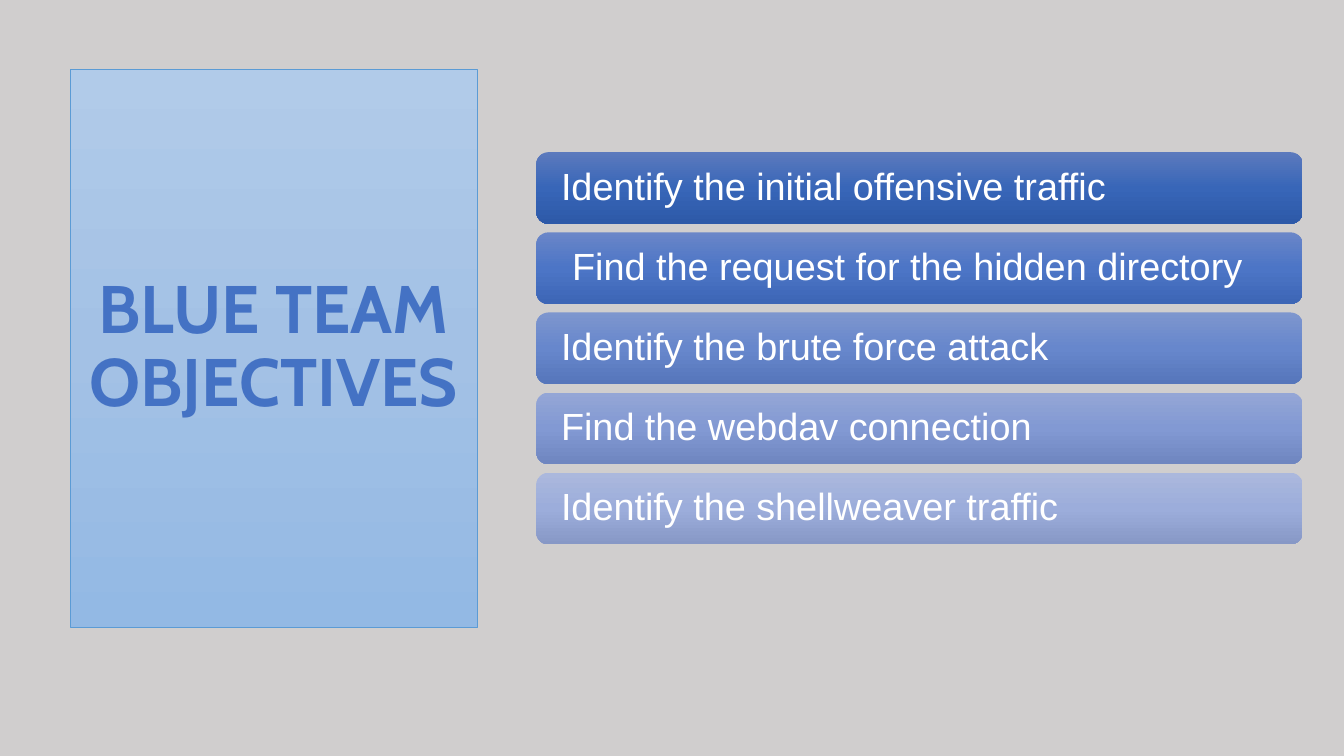
from copy import deepcopy

from pptx import Presentation
from pptx.dml.color import RGBColor
from pptx.enum import shapes, text
from pptx.oxml.ns import qn
from pptx.util import Inches, Pt

BACKGROUND = RGBColor(0xD0, 0xCE, 0xCE)
TITLE_BLUE = RGBColor(0x44, 0x72, 0xC4)
PANEL_LINE = RGBColor(0x5B, 0x9B, 0xD5)
WHITE = RGBColor(0xFF, 0xFF, 0xFF)
PANEL_GRADIENT = [RGBColor(0xB1, 0xCB, 0xE9), RGBColor(0xA3, 0xC1, 0xE5), RGBColor(0x93, 0xB9, 0xE4)]
BAR_GRADIENTS = [
    [RGBColor(0x5C, 0x7A, 0xBD), RGBColor(0x38, 0x66, 0xB8), RGBColor(0x2D, 0x59, 0xA8)],
    [RGBColor(0x6A, 0x86, 0xC8), RGBColor(0x4C, 0x75, 0xC6), RGBColor(0x3D, 0x66, 0xB6)],
    [RGBColor(0x7E, 0x96, 0xCE), RGBColor(0x67, 0x87, 0xCC), RGBColor(0x56, 0x76, 0xBB)],
    [RGBColor(0x94, 0xA6, 0xD6), RGBColor(0x82, 0x99, 0xD3), RGBColor(0x6F, 0x86, 0xC0)],
    [RGBColor(0xAB, 0xB8, 0xDD), RGBColor(0x9C, 0xAD, 0xDB), RGBColor(0x87, 0x98, 0xC6)],
]

# Wording and left inset in inches
OBJECTIVES = [
    ("Identify the initial offensive traffic", 0.21),
    ("Find the request for the hidden directory", 0.32),
    ("Identify the brute force attack", 0.21),
    ("Find the webdav connection", 0.21),
    ("Identify the shellweaver traffic", 0.21),
]
BAR_HEIGHT = 0.71

TITLE_FONT = {"name": "Cabin", "size": Pt(48), "bold": True}
BAR_FONT = {"name": "Arial", "size": Pt(27), "bold": False}


def fill_gradient(shape, colors):
    """Fill from top to bottom with three evenly spaced colours."""
    shape.fill.gradient()
    shape.fill.gradient_angle = 270
    stop_list = shape._element.spPr.find(qn("a:gradFill")).find(qn("a:gsLst"))
    stop_list.append(deepcopy(stop_list[-1]))
    for stop, color, position in zip(shape.fill.gradient_stops, colors, (0, 0.5, 1)):
        stop.color.rgb = color
        stop.position = position


def write_text(shape, wording, font_format, color, alignment):
    frame = shape.text_frame
    frame.text = wording
    frame.word_wrap = True
    frame.auto_size = text.MSO_AUTO_SIZE.NONE
    frame.vertical_anchor = text.MSO_ANCHOR.MIDDLE
    paragraph = frame.paragraphs[0]
    paragraph.alignment = alignment
    paragraph.line_spacing = 0.9
    font = paragraph.runs[0].font
    for attribute, value in font_format.items():
        setattr(font, attribute, value)
    font.color.rgb = color


def place_title(slide, left, top, width, height):
    title = slide.shapes.title
    title.left, title.top = Inches(left), Inches(top)
    title.width, title.height = Inches(width), Inches(height)
    fill_gradient(title, PANEL_GRADIENT)
    title.line.color.rgb = PANEL_LINE
    title.line.width = Pt(0.5)
    write_text(title, "BLUE TEAM OBJECTIVES", TITLE_FONT, TITLE_BLUE, text.PP_ALIGN.CENTER)


def add_objectives(slide, left, top, width, height):
    """Spread the bars evenly down the box."""
    pitch = (height - BAR_HEIGHT) / (len(OBJECTIVES) - 1)
    for row, ((wording, inset), colors) in enumerate(zip(OBJECTIVES, BAR_GRADIENTS)):
        bar = slide.shapes.add_shape(
            shapes.MSO_SHAPE.ROUNDED_RECTANGLE,
            Inches(left), Inches(top + row * pitch), Inches(width), Inches(BAR_HEIGHT))
        bar.shadow.inherit = False
        bar.line.fill.background()
        fill_gradient(bar, colors)
        write_text(bar, wording, BAR_FONT, WHITE, text.PP_ALIGN.LEFT)
        bar.text_frame.margin_left = Inches(inset)


def main():
    presentation = Presentation()
    presentation.slide_width, presentation.slide_height = Inches(13.33), Inches(7.5)
    slide = presentation.slides.add_slide(presentation.slide_layouts.get_by_name("Title Only"))
    slide.background.fill.solid()
    slide.background.fill.fore_color.rgb = BACKGROUND
    place_title(slide, 0.7, 0.69, 4.03, 5.53)
    add_objectives(slide, 5.32, 1.51, 7.6, 3.89)
    presentation.save("out.pptx")


if __name__ == "__main__":
    main()
